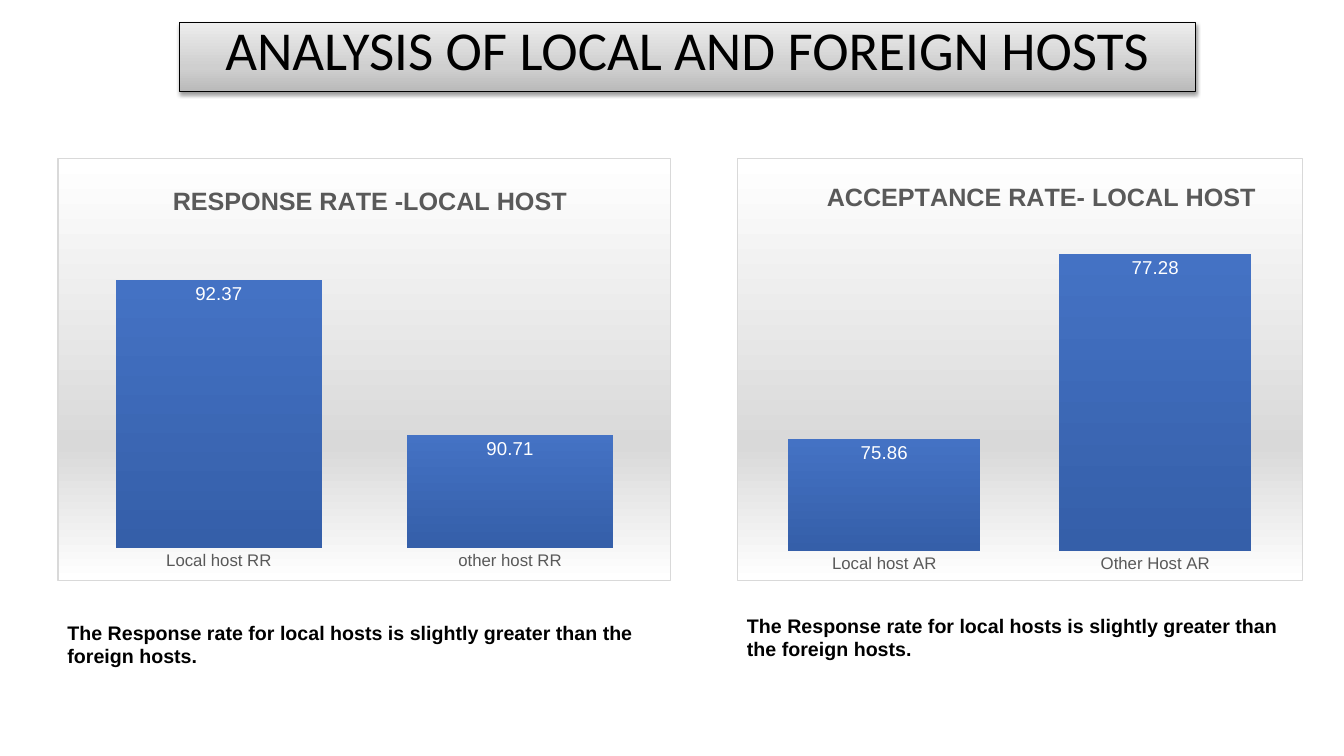
from pptx import Presentation
from pptx.chart.data import CategoryChartData
from pptx.dml.color import RGBColor
from pptx.enum.chart import XL_CHART_TYPE, XL_LABEL_POSITION, XL_TICK_MARK
from pptx.enum.text import MSO_ANCHOR, MSO_AUTO_SIZE, PP_ALIGN
from pptx.oxml import parse_xml
from pptx.oxml.ns import nsdecls, qn
from pptx.util import Inches, Pt

THEME = {
    "black": RGBColor(0, 0, 0),
    "white": RGBColor(255, 255, 255),
    "grey": RGBColor(0x59, 0x59, 0x59),
    "border": "D9D9D9",
    "banner": [(0, "BABABA"), (35, "CFCFCF"), (100, "EDEDED")],
    "panel": [(0, "FFFFFF"), (68, "D9D9D9"), (100, "FFFFFF")],
    "bar": [(0, "4472C4"), (100, "355FA9")],
    "title_font": "Calibri",
    "font": "Arial",
    "title_size": Pt(39.2),
    "chart_title_size": Pt(18),
    "axis_size": Pt(12),
    "label_size": Pt(13.3),
    "note_size": Pt(14),
}
NOTE = "The Response rate for local hosts is slightly greater than the foreign hosts."
PANELS = [
    {"title": "RESPONSE RATE -LOCAL HOST", "left": 0.57, "width": 6.09,
     "categories": ["Local host RR", "other host RR"], "values": [92.37, 90.71],
     "scale": (89.5, 93), "title_at": (0.18, 0.05),
     "plot_at": (0.025, 0.148, 0.95, 0.776), "note_top": 6.11, "note_width": 6.09},
    {"title": "ACCEPTANCE RATE- LOCAL HOST", "left": 7.31, "width": 5.61,
     "categories": ["Local host AR", "Other Host AR"], "values": [75.86, 77.28],
     "scale": (75, 77.5), "title_at": (0.15, 0.04),
     "plot_at": (0.02, 0.158, 0.96, 0.772), "note_top": 6.04, "note_width": 5.68},
]


def gradient(stops, angle):
    """Return a linear gradient fill; the angle runs clockwise in degrees."""
    stop_xml = "".join(
        f'<a:gs pos="{position * 1000}"><a:srgbClr val="{color}"/></a:gs>'
        for position, color in stops)
    return parse_xml(
        f'<a:gradFill {nsdecls("a")} rotWithShape="1"><a:gsLst>{stop_xml}</a:gsLst>'
        f'<a:lin ang="{angle * 60000}" scaled="0"/></a:gradFill>')


def place(element, index, fractions):
    """Give a chart part a manual layout in fractions of the chart."""
    for layout in element.findall(qn("c:layout")):
        element.remove(layout)
    target = '<c:layoutTarget val="inner"/>' if len(fractions) == 4 else ""
    modes = '<c:xMode val="edge"/><c:yMode val="edge"/>'
    values = "".join(f'<c:{name} val="{value}"/>'
                     for name, value in zip("xywh", fractions))
    element.insert(index, parse_xml(
        f'<c:layout {nsdecls("c")}><c:manualLayout>{target}{modes}{values}'
        '</c:manualLayout></c:layout>'))


presentation = Presentation()
presentation.slide_width = Inches(13.33)
presentation.slide_height = Inches(7.5)
slide = presentation.slides.add_slide(presentation.slide_layouts[5])

# Title banner
banner = slide.shapes.title
banner.left, banner.top = Inches(1.78), Inches(0.22)
banner.width, banner.height = Inches(10.08), Inches(0.69)
banner_properties = banner._element.spPr
banner_properties.append(gradient(THEME["banner"], 270))
banner.line.color.rgb = THEME["black"]
banner.line.width = Pt(0.75)
banner_properties.append(parse_xml(
    f'<a:effectLst {nsdecls("a")}><a:outerShdw blurRad="{Pt(3.1)}" dist="{Pt(1.6)}" '
    'dir="5400000" rotWithShape="0"><a:srgbClr val="000000"><a:alpha val="38000"/>'
    '</a:srgbClr></a:outerShdw></a:effectLst>'))
banner.text_frame.auto_size = MSO_AUTO_SIZE.NONE
banner.text_frame.vertical_anchor = MSO_ANCHOR.MIDDLE
paragraph = banner.text_frame.paragraphs[0]
paragraph.alignment = PP_ALIGN.CENTER
paragraph.line_spacing = 0.7
run = paragraph.add_run()
run.text = "ANALYSIS OF LOCAL AND FOREIGN HOSTS"
run.font.name = THEME["title_font"]
run.font.size = THEME["title_size"]
run.font.color.rgb = THEME["black"]

for panel in PANELS:
    # Column chart
    chart_data = CategoryChartData(number_format="0.00")
    chart_data.categories = panel["categories"]
    chart_data.add_series("Series 1", panel["values"])
    chart = slide.shapes.add_chart(
        XL_CHART_TYPE.COLUMN_CLUSTERED, Inches(panel["left"]), Inches(1.57),
        Inches(panel["width"]), Inches(4.19), chart_data).chart
    chart.has_legend = False
    chart.font.name = THEME["font"]
    chart.font.size = THEME["axis_size"]
    chart.font.color.rgb = THEME["grey"]

    chart.has_title = True
    run = chart.chart_title.text_frame.paragraphs[0].add_run()
    run.text = panel["title"]
    run.font.name = THEME["font"]
    run.font.size = THEME["chart_title_size"]
    run.font.bold = True
    run.font.color.rgb = THEME["grey"]
    chart_element = chart._chartSpace.find(qn("c:chart"))
    place(chart_element.find(qn("c:title")), 1, panel["title_at"])
    place(chart_element.find(qn("c:plotArea")), 0, panel["plot_at"])

    chart_properties = parse_xml(
        f'<c:spPr {nsdecls("c", "a")}><a:ln w="{Pt(0.75)}"><a:solidFill>'
        f'<a:srgbClr val="{THEME["border"]}"/></a:solidFill></a:ln></c:spPr>')
    chart_properties.insert(0, gradient(THEME["panel"], 90))
    chart_element.addnext(chart_properties)

    value_axis = chart.value_axis
    value_axis.minimum_scale, value_axis.maximum_scale = panel["scale"]
    value_axis.has_major_gridlines = False
    value_axis.visible = False
    category_axis = chart.category_axis
    category_axis.major_tick_mark = XL_TICK_MARK.NONE
    category_axis.format.line.fill.background()
    category_axis.tick_labels.font.size = THEME["axis_size"]

    plot = chart.plots[0]
    plot.gap_width = 41
    plot.vary_by_categories = False
    plot.series[0]._element.get_or_add_spPr().insert(0, gradient(THEME["bar"], 90))
    plot.has_data_labels = True
    labels = plot.data_labels
    labels.show_value = True
    labels.number_format = "0.00"
    labels.number_format_is_linked = False
    labels.position = XL_LABEL_POSITION.INSIDE_END
    labels.font.name = THEME["font"]
    labels.font.size = THEME["label_size"]
    labels.font.color.rgb = THEME["white"]

    # Note under the chart
    note = slide.shapes.add_textbox(
        Inches(panel["left"]), Inches(panel["note_top"]),
        Inches(panel["note_width"]), Inches(0.57))
    note.text_frame.word_wrap = True
    run = note.text_frame.paragraphs[0].add_run()
    run.text = NOTE
    run.font.name = THEME["font"]
    run.font.size = THEME["note_size"]
    run.font.bold = True
    run.font.color.rgb = THEME["black"]

presentation.save("out.pptx")
